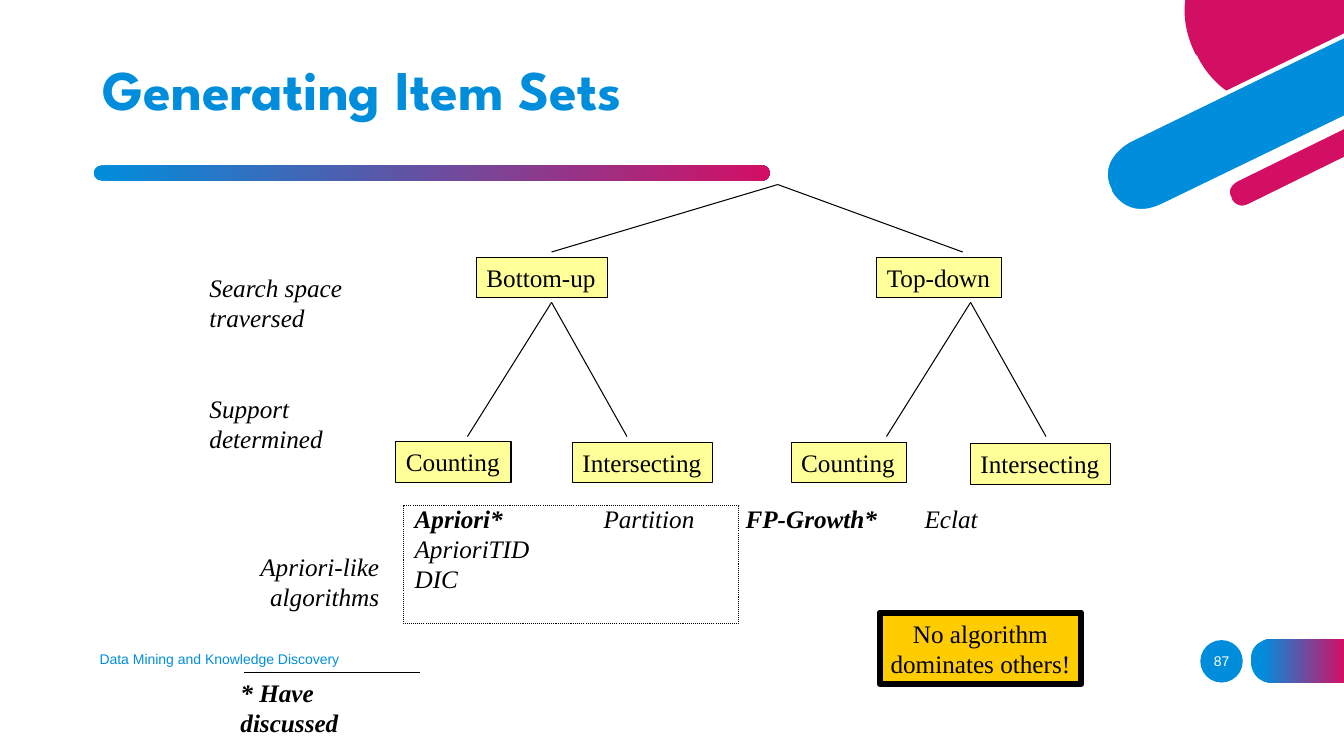
from lxml.etree import SubElement
from pptx import Presentation
from pptx.dml.color import RGBColor
from pptx.enum.dml import MSO_LINE as Dash
from pptx.enum.shapes import MSO_CONNECTOR as Link, MSO_SHAPE as Shape
from pptx.enum.text import MSO_ANCHOR as Anchor, PP_ALIGN as Align
from pptx.oxml.ns import qn
from pptx.util import Cm, Pt

BLUE = RGBColor(0x00, 0x8E, 0xDC)
PINK = RGBColor(0xD3, 0x0F, 0x64)
WHITE = RGBColor(0xFF, 0xFF, 0xFF)
BLACK = RGBColor(0x00, 0x00, 0x00)
YELLOW = RGBColor(0xFF, 0xFF, 0x99)
GOLD = RGBColor(0xFF, 0xCC, 0x00)

# Content: all lengths in centimetres
TITLE = "Generating Item Sets"
FOOTER = "Data Mining and Knowledge Discovery"
PAGE = "87"
NODES = [  # text, left, top, width
    ("Bottom-up", 12.01, 6.48, 3.3),
    ("Top-down", 22.1, 6.48, 3.15),
    ("Counting", 9.98, 11.13, 2.9),
    ("Intersecting", 14.43, 11.15, 3.53),
    ("Counting", 19.94, 11.15, 2.9),
    ("Intersecting", 24.46, 11.18, 3.53),
]
NODE_H = 1.02
FORKS = [  # apex x, apex y, foot y, reach left, reach right
    (19.6, 4.65, 6.35, 5.7, 4.66),
    (13.9, 7.62, 11, 2.12, 1.9),
    (24.46, 7.62, 11, 2.12, 1.9),
]
STEPS = ["Search space", "traversed", "Support", "determined"]
KIND = ["Apriori-like", "algorithms"]
ALGOS = [
    [("Apriori*", True), ("\tPartition", False), ("\tFP-Growth*", True), ("\tEclat", False)],
    "AprioriTID",
    "DIC",
]
TABS = [4.76, 8.34, 12.85]
VERDICT = ["No algorithm", "dominates others!"]
NOTE = "* Have discussed"

# Outlines: a pair is a corner, six numbers are a curve (two handles, end)
DISC = [(30.18, 1.42), (30.18, 1.42, 30.4, 1.93, 30.91, 2.29), (33.87, 0.86),
        (33.87, 0), (29.87, 0), (29.82, 0.38, 29.87, 0.84, 30.12, 1.35)]
BAND = [(28.47, 3.53), (28.47, 3.53, 27.56, 3.99, 27.97, 4.8), (27.97, 4.83),
        (27.97, 4.83, 28.37, 5.64, 29.31, 5.18), (34, 2.91), (34, 0.84)]
STRIP = [(34, 3.13), (31.17, 4.52), (31.17, 4.52, 30.81, 4.7, 30.99, 5),
         (30.99, 5.03), (30.99, 5.03, 31.14, 5.36, 31.5, 5.18), (34, 3.95)]
TAIL = [(32.05, 17.2), (33.87, 17.2), (33.87, 16.1), (32.05, 16.1),
        (32.05, 16.1, 31.52, 16.1, 31.52, 16.64), (31.52, 16.66),
        (31.52, 16.66, 31.52, 17.2, 32.05, 17.2)]

deck = Presentation()
deck.slide_width, deck.slide_height = Cm(33.87), Cm(19.05)
slide = deck.slides.add_slide(deck.slide_layouts[5])
shapes = slide.shapes


def paint(shape, fill=None, line=None, width=0.75):
    shape.shadow.inherit = False
    if fill is None:
        shape.fill.background()
    else:
        shape.fill.solid()
        shape.fill.fore_color.rgb = fill
    if line is None:
        shape.line.fill.background()
    else:
        shape.line.color.rgb = line
        shape.line.width = Pt(width)


def blend(shape, start=0):
    shape.fill.gradient()
    shape.fill.gradient_angle = 0
    for stop, color, place in zip(shape.fill.gradient_stops, (BLUE, PINK), (start, 1)):
        stop.color.rgb = color
        stop.position = place


def trace(outline, steps=16):
    dots = []
    for part in outline:
        if len(part) == 2:
            dots.append(part)
            continue
        ends = [dots[-1]] + [part[i:i + 2] for i in (0, 2, 4)]
        for n in range(1, steps + 1):
            t = n / steps
            mix = ((1 - t) ** 3, 3 * t * (1 - t) ** 2, 3 * t * t * (1 - t), t ** 3)
            dots.append(tuple(sum(m * e[k] for m, e in zip(mix, ends)) for k in (0, 1)))
    dots = [(Cm(x), Cm(y)) for x, y in dots]
    pen = shapes.build_freeform(*dots[0], scale=1.0)
    pen.add_line_segments(dots[1:], close=True)
    return pen.convert_to_shape()


def draw(kind, *box):
    return shapes.add_shape(kind, *map(Cm, box))


def rule(*ends):
    line = shapes.add_connector(Link.STRAIGHT, *map(Cm, ends))
    line.line.color.rgb = BLACK
    line.line.width = Pt(0.75)
    SubElement(line._element.spPr, qn("a:effectLst"))


def write(shape, lines, wrap=False, anchor=Anchor.MIDDLE, align=Align.LEFT,
          size=18, name="Times New Roman", color=BLACK, **style):
    frame = shape.text_frame
    frame.word_wrap = wrap
    frame.vertical_anchor = anchor
    look = dict(size=Pt(size), name=name, **style)
    for n, line in enumerate(lines):
        para = frame.add_paragraph() if n else frame.paragraphs[0]
        para.alignment = align
        for text, bold in [(line, None)] if isinstance(line, str) else line:
            run = para.add_run()
            run.text = text
            for key, value in {**look, **({} if bold is None else {"bold": bold})}.items():
                setattr(run.font, key, value)
            run.font.color.rgb = color
    return frame


def label(box, lines, **style):
    return write(shapes.add_textbox(*map(Cm, box)), lines, **style)


# Corner and footer decoration
paint(trace(DISC), PINK)
paint(trace(BAND), BLUE, WHITE, 3)
paint(trace(STRIP), PINK, WHITE, 3)
tail = trace(TAIL)
bar = draw(Shape.ROUNDED_RECTANGLE, 2.36, 4.17, 17.04, 0.38)
bar.adjustments[0] = 0.5
for piece, start in ((tail, 0.12), (bar, 0)):
    paint(piece)
    blend(piece, start)

# Footer and page number
small = dict(size=10, name="Arial")
label((2.26, 16.1, 11.43, 1.02), [FOOTER], wrap=True, color=BLUE, **small)
badge = draw(Shape.OVAL, 30.25, 16.13, 1.07, 1.07)
paint(badge, BLUE)
frame = write(badge, [PAGE], align=Align.CENTER, color=WHITE, **small)
frame.margin_left = frame.margin_right = 0

# Title
head = shapes.title
head.left, head.top, head.width, head.height = map(Cm, (2.34, 1.02, 25.15, 2.62))
write(head, [TITLE], wrap=True, size=40, name="League Spartan", color=BLUE, bold=True)
head.text_frame.paragraphs[0].line_spacing = 0.9

# Tree
for text, left, top, width in NODES:
    node = draw(Shape.RECTANGLE, left, top, width, NODE_H)
    paint(node, YELLOW, BLACK)
    write(node, [text])
for x, top, foot, left, right in FORKS:
    for end in (x - left, x + right):
        rule(x, top, end, foot)

# Row labels
frame = label((5.03, 6.71, 3.89, 4.88), STEPS, italic=True)
frame.paragraphs[2].space_before = Pt(43)
label((6.3, 13.77, 3.51, 1.78), KIND, align=Align.RIGHT, italic=True)

# Algorithms
frame = label((10.2, 12.55, 16, 2.57), ALGOS, wrap=True, anchor=Anchor.TOP, italic=True)
stops = SubElement(frame.paragraphs[0]._p.get_or_add_pPr(), qn("a:tabLst"))
for place in TABS:
    SubElement(stops, qn("a:tab"), pos=str(Cm(place)), algn="l")
group = draw(Shape.RECTANGLE, 10.16, 12.75, 8.46, 2.97)
paint(group, None, BLACK)
group.line.dash_style = Dash.ROUND_DOT

# Verdict and note
verdict = draw(Shape.RECTANGLE, 22.17, 15.44, 5.08, 1.8)
paint(verdict, GOLD, BLACK, 4.5)
write(verdict, VERDICT, align=Align.CENTER)
label((5.81, 16.94, 4.97, 1.02), [NOTE], anchor=Anchor.TOP, bold=True, italic=True)
rule(6.15, 16.94, 10.59, 16.94)

deck.save("out.pptx")
